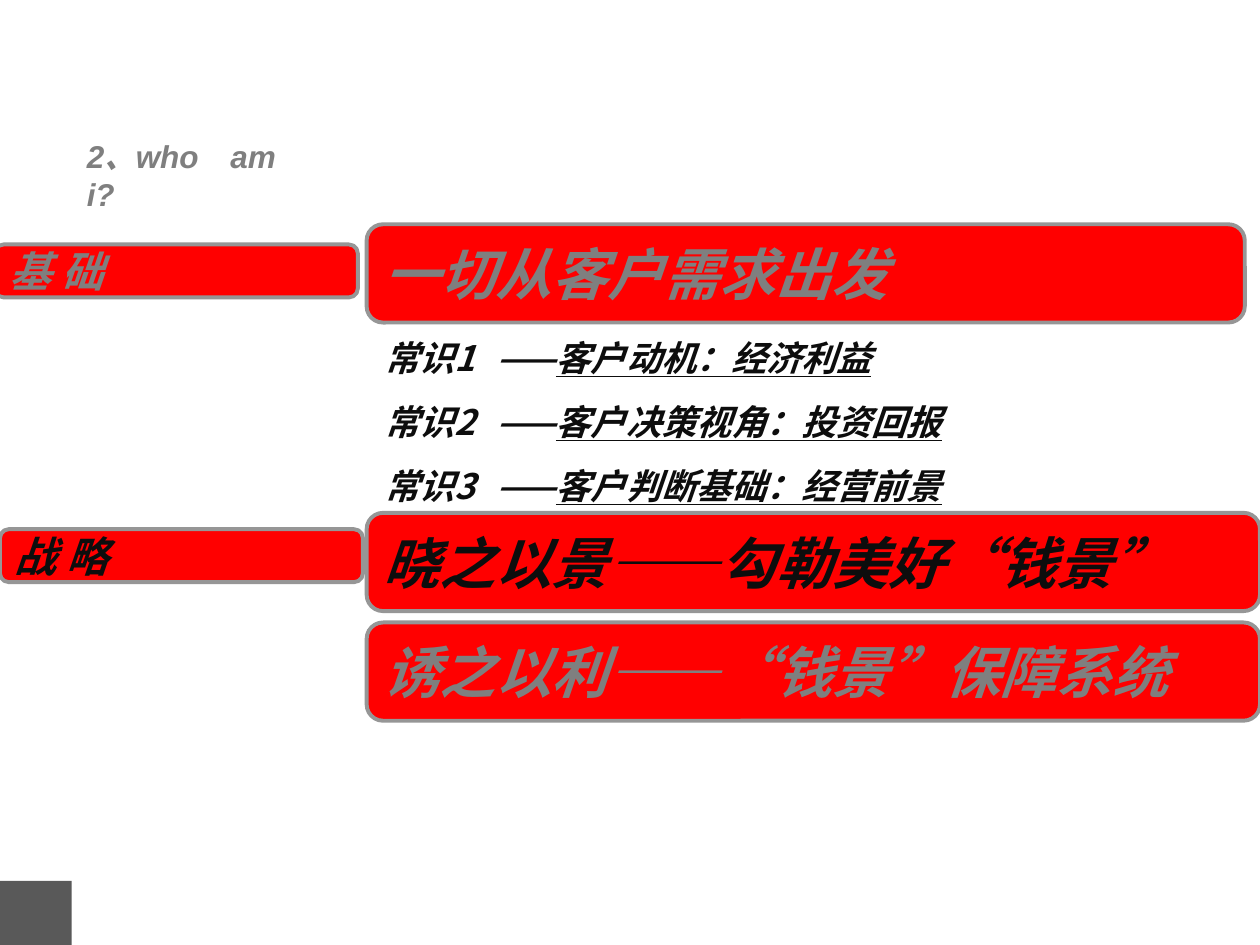
from lxml import etree
from pptx import Presentation
from pptx import util as u
from pptx.dml.color import RGBColor
from pptx.enum import shapes, text
from pptx.oxml.ns import qn

# Grid of 100 columns by 75 rows, each cell a tenth of an inch
COLS, ROWS = 100, 75
CELL = u.Inches(0.1)
RED, EDGE, GRAY, INK, CORNER = "FF0000", "969696", "7F7F7F", "0D0D0D", "595959"
CJK = "Noto Sans CJK SC"


def color(value):
    return RGBColor.from_string(value)


def place(box):
    return [round(n * CELL) for n in box]


def add_text(p, content, size=20, fill=INK, font=CJK, underline=False):
    r = p.add_run()
    r.text = content
    f = r.font
    f.size, f.name, f.bold, f.italic = u.Pt(size), font, True, True
    f.underline = underline
    f.color.rgb = color(fill)
    etree.SubElement(r._r.get_or_add_rPr(), qn("a:ea"), typeface=font)


def add_tab(p, columns):
    tabs = etree.SubElement(p._p.get_or_add_pPr(), qn("a:tabLst"))
    etree.SubElement(tabs, qn("a:tab"), pos=str(round(columns * CELL)), algn="l")


def text_box(s, box):
    tf = s.shapes.add_textbox(*place(box)).text_frame
    tf.word_wrap = True
    return tf


def panel(s, box, content, size, fill):
    sp = s.shapes.add_shape(shapes.MSO_SHAPE.ROUNDED_RECTANGLE, *place(box))
    sp.shadow.inherit = False
    sp.fill.solid()
    sp.fill.fore_color.rgb = color(RED)
    sp.line.color.rgb = color(EDGE)
    sp.line.width = u.Pt(2.25)
    tf = sp.text_frame
    tf.word_wrap = True
    tf.vertical_anchor = text.MSO_ANCHOR.MIDDLE
    p = tf.paragraphs[0]
    p.alignment = text.PP_ALIGN.LEFT
    add_text(p, content, size, fill)


def banner(s, box, content, fill):
    panel(s, box, content, 32, fill)


def label(s, box, content, fill):
    panel(s, box, content, 24, fill)


def heading(s, box):
    p = text_box(s, box).paragraphs[0]
    add_tab(p, 11.4)
    add_text(p, "2、who\tam", 18, GRAY, "Arial")
    p.add_line_break()
    add_text(p, "i?", 18, GRAY, "Arial")


def common_sense(s, box, facts):
    tf = text_box(s, box)
    for i, fact in enumerate(facts):
        p = tf.add_paragraph() if i else tf.paragraphs[0]
        if i:
            p.space_before = u.Pt(12.5)
        add_tab(p, 8.9)
        add_text(p, f"常识{i + 1}\t——")
        add_text(p, fact, underline=True)


def corner_block(s, box):
    sp = s.shapes.add_shape(shapes.MSO_SHAPE.RECTANGLE, *place(box))
    sp.shadow.inherit = False
    sp.fill.solid()
    sp.fill.fore_color.rgb = color(CORNER)
    sp.line.fill.background()


def main():
    prs = Presentation()
    prs.slide_width, prs.slide_height = COLS * CELL, ROWS * CELL
    s = prs.slides.add_slide(prs.slide_layouts[6])
    left, high = 29.1, 7.8
    wide = COLS - left

    # Corner decoration
    corner_block(s, (0, ROWS - 5.1, 5.7, 5.1))

    # Foundation: banner and its three points
    banner(s, (left, 17.8, wide - 1.2, high), "一切从客户需求出发", GRAY)
    common_sense(s, (left + 0.4, 26.2, 51.2, 14.5),
                 ["客户动机：经济利益", "客户决策视角：投资回报", "客户判断基础：经营前景"])

    # Strategy: two banners
    strategies = [("晓之以景——勾勒美好“钱景”", INK),
                  ("诱之以利——“钱景”保障系统", GRAY)]
    for i, (content, fill) in enumerate(strategies):
        banner(s, (left, 40.7 + i * 8.7, wide, high), content, fill)

    # Section labels and heading
    label(s, (-0.4, 19.4, 28.8, 4.2), "基 础", GRAY)
    label(s, (0, 42, 28.8, 4.2), "战 略", INK)
    heading(s, (5.9, 10.4, 20.9, 4))

    prs.save("out.pptx")


if __name__ == "__main__":
    main()
